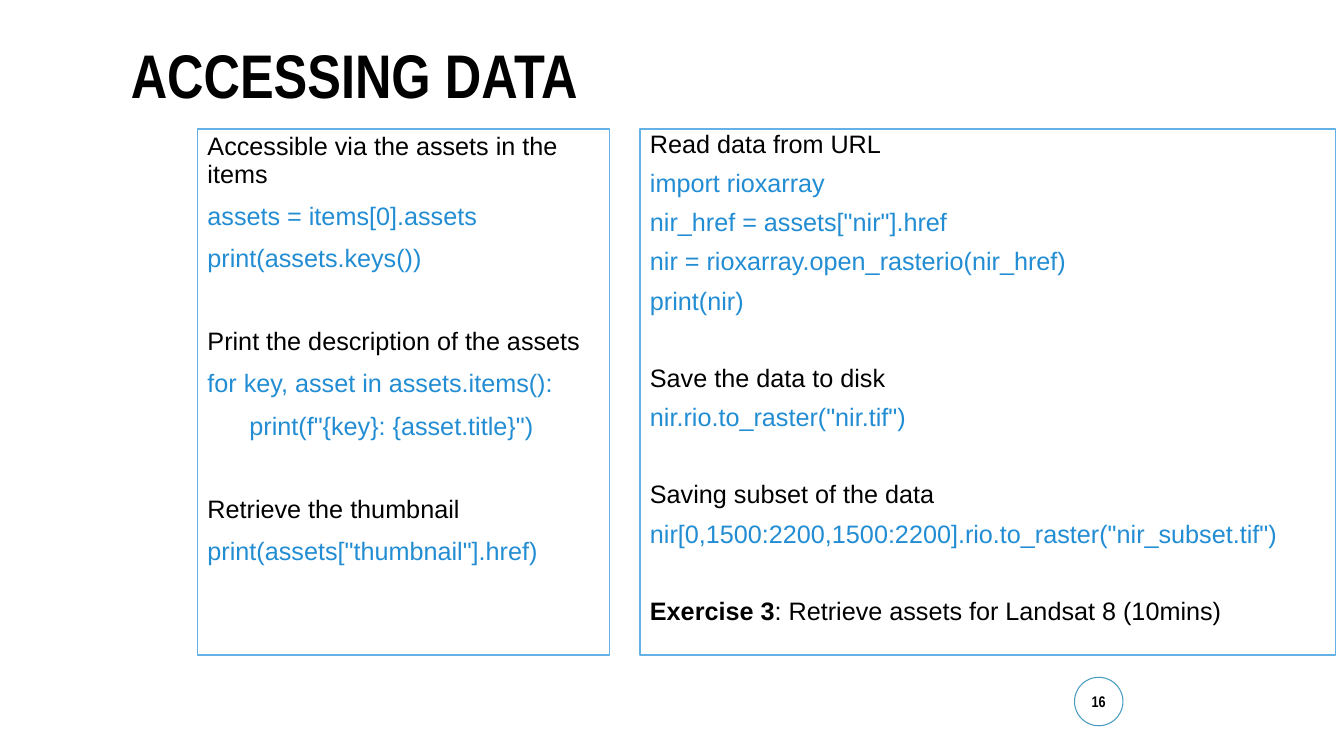
from dataclasses import dataclass

from pptx import Presentation
from pptx.dml.color import RGBColor
from pptx.enum.shapes import MSO_SHAPE
from pptx.enum.text import MSO_ANCHOR, MSO_AUTO_SIZE, PP_ALIGN
from pptx.util import Pt


@dataclass(frozen=True)
class Theme:
    ink: RGBColor = RGBColor(0, 0, 0)
    paper: RGBColor = RGBColor(255, 255, 255)
    code: RGBColor = RGBColor(0x23, 0x8D, 0xD3)
    border: RGBColor = RGBColor(0x63, 0xB1, 0xE5)
    badge: RGBColor = RGBColor(0x46, 0x9B, 0xC0)
    heading_font: str = "Arial Narrow"
    body_font: str = "Arial"
    title_size: int = 44
    body_size: int = 18
    number_size: int = 11
    paragraph_gap: float = 10.7
    line_height: float = 20.7


THEME = Theme()

# Each section is a lead sentence followed by its code lines
ASSET_SECTIONS = [
    ("Accessible via the assets in the items",
     ["assets = items[0].assets", "print(assets.keys())"]),
    ("Print the description of the assets",
     ["for key, asset in assets.items():",
      '      print(f"{key}: {asset.title}")']),
    ("Retrieve the thumbnail", ['print(assets["thumbnail"].href)']),
]
RASTER_SECTIONS = [
    ("Read data from URL",
     ["import rioxarray", 'nir_href = assets["nir"].href',
      "nir = rioxarray.open_rasterio(nir_href)", "print(nir)"]),
    ("Save the data to disk", ['nir.rio.to_raster("nir.tif")']),
    ("Saving subset of the data",
     ['nir[0,1500:2200,1500:2200].rio.to_raster("nir_subset.tif")']),
]
EXERCISE = ("Exercise 3", ": Retrieve assets for Landsat 8 (10mins)")


def set_font(paragraph, name, size, color, bold=None):
    font = paragraph.font
    font.name, font.size, font.bold = name, Pt(size), bold
    font.color.rgb = color


def add_outlined(slide, kind, box, border, width):
    outlined = slide.shapes.add_shape(kind, *map(Pt, box))
    outlined.shadow.inherit = False
    outlined.fill.solid()
    outlined.fill.fore_color.rgb = THEME.paper
    outlined.line.color.rgb = border
    outlined.line.width = Pt(width)
    return outlined


def add_title(slide, box, text):
    title = slide.shapes.title
    title.left, title.top, title.width, title.height = map(Pt, box)
    frame = title.text_frame
    frame.auto_size = MSO_AUTO_SIZE.NONE
    frame.vertical_anchor = MSO_ANCHOR.TOP
    frame.margin_left = Pt(27.2)
    frame.text = text
    heading = frame.paragraphs[0]
    heading.alignment = PP_ALIGN.LEFT
    heading.line_spacing = 0.9
    set_font(heading, THEME.heading_font, THEME.title_size, THEME.ink, True)


def add_code_panel(slide, box, sections, spacing, closing=()):
    panel = add_outlined(slide, MSO_SHAPE.RECTANGLE, box, THEME.border, 1)
    frame = panel.text_frame
    frame.word_wrap = True
    frame.vertical_anchor = MSO_ANCHOR.TOP
    section_gap = 2 * THEME.paragraph_gap + spacing * THEME.line_height

    def add_line(color, gap):
        first = not frame.paragraphs[0].runs
        line = frame.paragraphs[0] if first else frame.add_paragraph()
        line.alignment = PP_ALIGN.LEFT
        line.line_spacing = spacing
        line.space_before = Pt(0 if first else gap)
        set_font(line, THEME.body_font, THEME.body_size, color)
        return line

    for lead, code_lines in sections:
        add_line(THEME.ink, section_gap).add_run().text = lead
        for code in code_lines:
            add_line(THEME.code, THEME.paragraph_gap).add_run().text = code

    # Closing task with a bold label
    if closing:
        label, task = closing
        line = add_line(THEME.ink, section_gap)
        label_run = line.add_run()
        label_run.text = label
        label_run.font.bold = True
        line.add_run().text = task


def add_page_number(slide, box, number):
    badge = add_outlined(slide, MSO_SHAPE.OVAL, box, THEME.badge, 0.75)
    frame = badge.text_frame
    frame.margin_left = frame.margin_right = 0
    frame.margin_top = frame.margin_bottom = 0
    frame.vertical_anchor = MSO_ANCHOR.MIDDLE
    frame.text = number
    label = frame.paragraphs[0]
    label.alignment = PP_ALIGN.CENTER
    set_font(label, THEME.heading_font, THEME.number_size, THEME.ink, True)


def add_data_access_slide(deck):
    slide = deck.slides.add_slide(deck.slide_layouts[5])
    panel_top, panel_height = 92.2, 375.8
    add_title(slide, (66.2, 28.8, 828, 104.4), "ACCESSING DATA")
    add_page_number(slide, (767.5, 483.8, 34.6, 34.6), "16")
    add_code_panel(slide, (141.1, panel_top, 294.5, panel_height),
                   ASSET_SECTIONS, 0.9)
    add_code_panel(slide, (457.2, panel_top, 496.8, panel_height),
                   RASTER_SECTIONS, 0.8, EXERCISE)


def main():
    deck = Presentation()
    deck.slide_width, deck.slide_height = Pt(960), Pt(540)
    add_data_access_slide(deck)
    deck.save("out.pptx")


if __name__ == "__main__":
    main()
